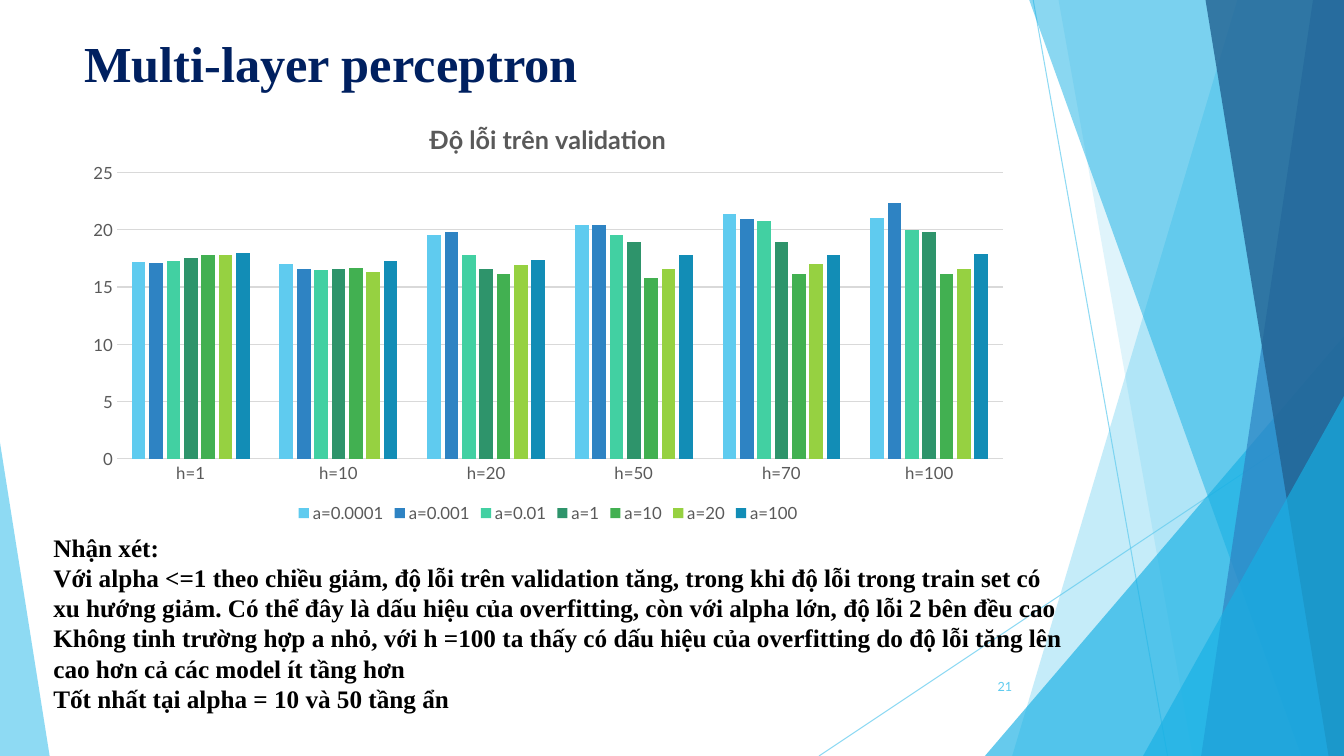
from dataclasses import dataclass

from lxml import etree
from pptx import Presentation
from pptx.chart.data import CategoryChartData
from pptx.dml.color import RGBColor
from pptx.enum.chart import XL_CHART_TYPE, XL_LEGEND_POSITION, XL_TICK_MARK
from pptx.enum.shapes import MSO_CONNECTOR, MSO_SHAPE
from pptx.enum.text import MSO_ANCHOR, PP_ALIGN
from pptx.oxml.ns import qn
from pptx.util import Pt

CLUSTERED = XL_CHART_TYPE.COLUMN_CLUSTERED
LEGEND_BOTTOM = XL_LEGEND_POSITION.BOTTOM
NO_TICK = XL_TICK_MARK.NONE
STRAIGHT = MSO_CONNECTOR.STRAIGHT
TRIANGLE = MSO_SHAPE.ISOSCELES_TRIANGLE
TOP, MIDDLE = MSO_ANCHOR.TOP, MSO_ANCHOR.MIDDLE
LEFT, RIGHT = PP_ALIGN.LEFT, PP_ALIGN.RIGHT


@dataclass(frozen=True)
class Theme:
    """Colours, fonts and type sizes of the slide."""
    sky: str = "5FCBEF"
    cyan: str = "17B0E4"
    blue: str = "2E83C3"
    deep: str = "226292"
    navy: str = "002060"
    black: str = "000000"
    grey: str = "595959"
    rule: str = "D9D9D9"
    serif: str = "Times New Roman"
    sans: str = "Lato"
    title: int = 36
    body: int = 18
    chart_title: int = 18
    axis: int = 12
    page: int = 9


THEME = Theme()
WIDTH, HEIGHT = 960, 540
BLEED_TOP = -0.6

RAYS = [((738, 0), (834, HEIGHT)), ((WIDTH, 290), (585, HEIGHT))]
BACK_PANELS = [(884, 723, THEME.sky, 36), (756, 852, THEME.sky, 20)]
FRONT_PANELS = [
    (735, 929.5, THEME.cyan, 50),
    (938, 858, THEME.blue, 70),
    (861, 949, THEME.deep, 80),
]

HIDDEN_UNITS = ["h=1", "h=10", "h=20", "h=50", "h=70", "h=100"]
ERRORS_BY_ALPHA = [
    ("a=0.0001", THEME.sky, [17.2, 17, 19.5, 20.4, 21.4, 21]),
    ("a=0.001", THEME.blue, [17.1, 16.6, 19.8, 20.4, 20.9, 22.3]),
    ("a=0.01", "42D0A2", [17.3, 16.5, 17.8, 19.5, 20.8, 20]),
    ("a=1", "2E946B", [17.5, 16.6, 16.6, 18.9, 18.9, 19.8]),
    ("a=10", "42B051", [17.8, 16.7, 16.1, 15.8, 16.1, 16.1]),
    ("a=20", "96D141", [17.8, 16.3, 16.9, 16.6, 17, 16.6]),
    ("a=100", "128DB6", [18, 17.3, 17.4, 17.8, 17.8, 17.9]),
]

REMARKS = [
    "Nhận xét:",
    "Với alpha <=1 theo chiều giảm, độ lỗi trên validation tăng, trong khi độ lỗi "
    "trong train set có xu hướng giảm. Có thể đây là dấu hiệu của overfitting, "
    "còn với alpha lớn, độ lỗi 2 bên đều cao",
    "Không tinh trường hợp a nhỏ, với h =100 ta thấy có dấu hiệu của overfitting "
    "do độ lỗi tăng lên cao hơn cả các model ít tầng hơn",
    "Tốt nhất tại alpha = 10 và 50 tầng ẩn",
]


def style_font(font, face, size, color, bold=False):
    """Set face, size, colour and weight of a font."""
    font.name, font.size, font.bold = face, Pt(size), bold
    font.color.rgb = RGBColor.from_string(color)


def paint(fill, color, opacity=100):
    """Give a fill a solid colour with an opacity in percent."""
    fill.solid()
    fill.fore_color.rgb = RGBColor.from_string(color)
    if opacity < 100:
        for tint in fill._xPr.iter(qn("a:srgbClr")):
            etree.SubElement(tint, qn("a:alpha"), val=str(opacity * 1000))


def finish_facet(facet, color, opacity):
    """Paint a background facet without outline or shadow."""
    facet.shadow.inherit = False
    paint(facet.fill, color, opacity)
    facet.line.fill.background()


def add_ray(slide, start, end):
    """Draw a thin translucent background line."""
    ray = slide.shapes.add_connector(STRAIGHT, *map(Pt, start + end))
    ray.line.width = Pt(0.75)
    paint(ray.line.fill, THEME.sky, 70)
    etree.SubElement(ray._element.spPr, qn("a:effectLst"))


def add_panel(slide, top_x, bottom_x, color, opacity):
    """Draw a facet from a slanted left edge to the right slide edge."""
    outline = slide.shapes.build_freeform(Pt(top_x), Pt(BLEED_TOP))
    corners = [(WIDTH, BLEED_TOP), (WIDTH, HEIGHT), (bottom_x, HEIGHT)]
    outline.add_line_segments([(Pt(x), Pt(y)) for x, y in corners], close=True)
    finish_facet(outline.convert_to_shape(), color, opacity)


def add_corner(slide, left, top, right, apex, color, opacity):
    """Draw a right triangle standing on the bottom slide edge."""
    box = (left, top, right - left, HEIGHT - top)
    corner = slide.shapes.add_shape(TRIANGLE, *map(Pt, box))
    corner.adjustments[0] = apex
    finish_facet(corner, color, opacity)


def add_text(slide, box, lines, face, size, color, bold=False, align=LEFT, anchor=TOP):
    """Add a wrapped text box with one paragraph per line."""
    frame = slide.shapes.add_textbox(*map(Pt, box)).text_frame
    frame.word_wrap = True
    frame.vertical_anchor = anchor
    for index, line in enumerate(lines):
        paragraph = frame.add_paragraph() if index else frame.paragraphs[0]
        paragraph.alignment = align
        run = paragraph.add_run()
        run.text = line
        style_font(run.font, face, size, color, bold)


def place_part(part, index, **fractions):
    """Fix a chart part at fractions of the chart area."""
    for old in part.findall(qn("c:layout")):
        part.remove(old)
    layout = etree.Element(qn("c:layout"))
    manual = etree.SubElement(layout, qn("c:manualLayout"))
    if "w" in fractions:
        etree.SubElement(manual, qn("c:layoutTarget"), val="inner")
    for mode in ("xMode", "yMode"):
        etree.SubElement(manual, qn(f"c:{mode}"), val="edge")
    for key, value in fractions.items():
        etree.SubElement(manual, qn(f"c:{key}"), val=str(value))
    part.insert(index, layout)


def style_axis(axis):
    """Set label font and remove tick marks of an axis."""
    style_font(axis.tick_labels.font, THEME.sans, THEME.axis, THEME.grey)
    axis.major_tick_mark = axis.minor_tick_mark = NO_TICK


def style_rule(line):
    """Make a chart line thin and light grey."""
    line.width = Pt(0.75)
    paint(line.fill, THEME.rule)


def add_error_chart(slide, box):
    """Add the clustered columns of validation error."""
    data = CategoryChartData()
    data.categories = HIDDEN_UNITS
    for alpha, _, errors in ERRORS_BY_ALPHA:
        data.add_series(alpha, errors)
    chart = slide.shapes.add_chart(CLUSTERED, *map(Pt, box), data).chart
    style_font(chart.font, THEME.sans, 10, THEME.black)

    heading = chart.chart_title.text_frame.paragraphs[0].add_run()
    heading.text = "Độ lỗi trên validation"
    style_font(heading.font, THEME.sans, THEME.chart_title, THEME.grey, True)
    place_part(chart.chart_title._element, 1, x=0.37, y=0.04)
    place_part(chart._chartSpace.chart.plotArea, 0, x=0.045, y=0.17, w=0.935, h=0.67)

    chart.has_legend = True
    chart.legend.position = LEGEND_BOTTOM
    chart.legend.include_in_layout = False
    style_font(chart.legend.font, THEME.sans, THEME.axis, THEME.grey)

    units, error = chart.category_axis, chart.value_axis
    style_axis(units)
    style_axis(error)
    style_rule(units.format.line)
    style_rule(error.major_gridlines.format.line)
    error.format.line.fill.background()
    error.minimum_scale, error.maximum_scale, error.major_unit = 0, 25, 5

    plot = chart.plots[0]
    plot.gap_width, plot.overlap, plot.vary_by_categories = 219, -27, False
    for columns, (_, color, _) in zip(plot.series, ERRORS_BY_ALPHA):
        paint(columns.format.fill, color)


def add_backdrop(slide):
    """Draw the rays and translucent facets at the slide edges."""
    for start, end in RAYS:
        add_ray(slide, start, end)
    for panel in BACK_PANELS:
        add_panel(slide, *panel)
    add_corner(slide, 703.5, 240, WIDTH, 1, THEME.cyan, 66)
    for panel in FRONT_PANELS:
        add_panel(slide, *panel)
    add_corner(slide, 816.5, 283, WIDTH, 1, THEME.cyan, 66)
    add_corner(slide, 0, 316, 35.5, 0, THEME.sky, 70)


def main():
    """Build and save the slide."""
    deck = Presentation()
    deck.slide_width, deck.slide_height = Pt(WIDTH), Pt(HEIGHT)
    slide = deck.slides.add_slide(deck.slide_layouts[6])
    add_backdrop(slide)
    add_text(slide, (53, 19.5, 677, 104), ["Multi-layer perceptron"],
             THEME.serif, THEME.title, THEME.navy, bold=True)
    add_error_chart(slide, (53, 71.5, 677, 305))
    add_text(slide, (31, 376.5, 743, 138), REMARKS,
             THEME.serif, THEME.body, THEME.black, bold=True)
    add_text(slide, (676, 476, 54, 29), ["21"],
             THEME.sans, THEME.page, THEME.sky, align=RIGHT, anchor=MIDDLE)
    deck.save("out.pptx")


if __name__ == "__main__":
    main()
